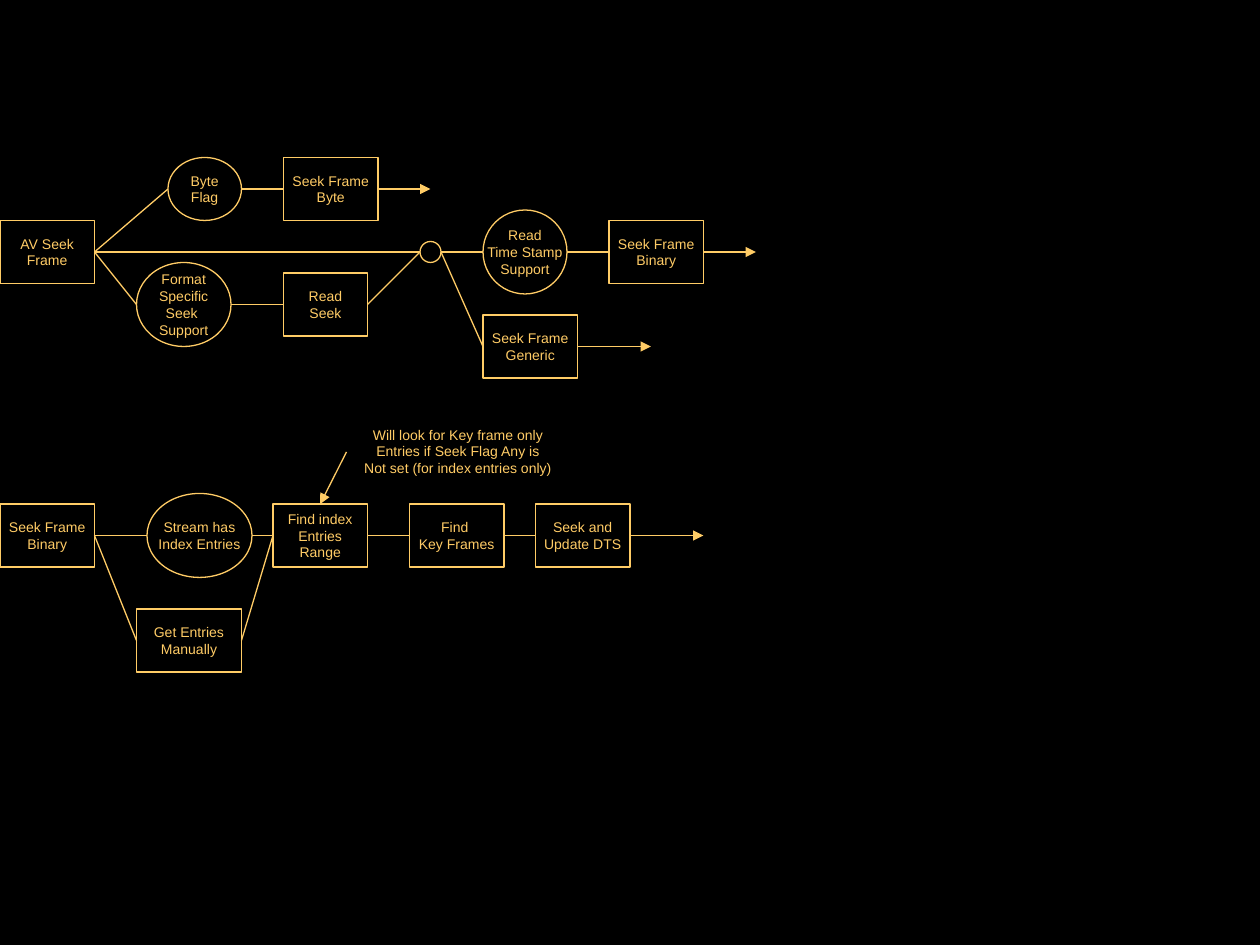
from lxml import etree
from pptx import Presentation
from pptx.dml.color import RGBColor
from pptx.enum.shapes import MSO_CONNECTOR, MSO_SHAPE
from pptx.enum.text import MSO_ANCHOR, MSO_AUTO_SIZE, PP_ALIGN
from pptx.oxml.ns import qn
from pptx.util import Pt

RECT, OVAL = MSO_SHAPE.RECTANGLE, MSO_SHAPE.OVAL
STRAIGHT = MSO_CONNECTOR.STRAIGHT
CENTER = PP_ALIGN.CENTER
TOP, MIDDLE = MSO_ANCHOR.TOP, MSO_ANCHOR.MIDDLE
FIT_SHAPE = MSO_AUTO_SIZE.SHAPE_TO_FIT_TEXT
BLACK = RGBColor(0x00, 0x00, 0x00)
AMBER = RGBColor(0xFF, 0xCC, 0x66)
LINE_WIDTH = Pt(0.75)


def write_text(frame, text, size=8, font="Arial", color=AMBER, anchor=MIDDLE, wrap=False):
    """Write one centred paragraph for each line of text."""
    frame.word_wrap = wrap
    frame.vertical_anchor = anchor
    for number, line in enumerate(text.split("\n")):
        para = frame.add_paragraph() if number else frame.paragraphs[0]
        para.alignment = CENTER
        span = para.add_run()
        span.text = line
        span.font.size = Pt(size)
        span.font.name = font
        span.font.color.rgb = color


def draw_line(start, end, arrow=False):
    """Draw a straight line between two (x, y) points."""
    connector = slide.shapes.add_connector(STRAIGHT, *start, *end)
    connector.line.color.rgb = AMBER
    connector.line.width = LINE_WIDTH
    properties = connector._element.spPr
    if arrow:
        etree.SubElement(properties.find(qn("a:ln")), qn("a:tailEnd"), type="triangle")
    etree.SubElement(properties, qn("a:effectLst"))


# Deck and black page
deck = Presentation()
deck.slide_width, deck.slide_height = Pt(720), Pt(540)
slide = deck.slides.add_slide(deck.slide_layouts[6])
slide.background.fill.solid()
slide.background.fill.fore_color.rgb = BLACK

# Steps: key, shape, left, top, width, height, text
steps = [
    # Choosing a seek method
    ("seek", RECT, 0, 126, 54, 36, "AV Seek\nFrame"),
    ("byte flag", OVAL, 96, 90, 42, 36, "Byte\nFlag"),
    ("byte", RECT, 162, 90, 54, 36, "Seek Frame\nByte"),
    ("format", OVAL, 78, 150, 54, 48, "Format\nSpecific\nSeek \nSupport"),
    ("read", RECT, 162, 156, 48, 36, "Read\nSeek"),
    ("junction", OVAL, 240, 138, 12, 12, ""),
    ("time stamp", OVAL, 276, 120, 48, 48, "Read\nTime Stamp\nSupport"),
    ("binary", RECT, 348, 126, 54, 36, "Seek Frame\nBinary"),
    ("generic", RECT, 276, 180, 54, 36, "Seek Frame\nGeneric"),
    # Binary seek in detail
    ("binary seek", RECT, 0, 288, 54, 36, "Seek Frame\nBinary"),
    ("index", OVAL, 84, 282, 60, 48, "Stream has\nIndex Entries"),
    ("manual", RECT, 78, 348, 60, 36, "Get Entries\nManually"),
    ("range", RECT, 156, 288, 54, 36, "Find index\nEntries\nRange"),
    ("key frames", RECT, 234, 288, 54, 36, "Find \nKey Frames"),
    ("update", RECT, 306, 288, 54, 36, "Seek and\nUpdate DTS"),
]
entry, leave = {}, {}
for key, kind, left, top, width, height, text in steps:
    box = slide.shapes.add_shape(kind, Pt(left), Pt(top), Pt(width), Pt(height))
    box.shadow.inherit = False
    box.fill.background()
    box.line.color.rgb = AMBER
    box.line.width = LINE_WIDTH
    if text:
        write_text(box.text_frame, text)
    middle = Pt(top + height / 2)
    entry[key] = (Pt(left), middle)
    leave[key] = (Pt(left + width), middle)

# Links run from the right side of one step to the left side of the next
links = [
    ("seek", "byte flag"), ("seek", "format"), ("seek", "junction"),
    ("byte flag", "byte"), ("format", "read"), ("read", "junction"),
    ("junction", "time stamp"), ("junction", "generic"), ("time stamp", "binary"),
    ("binary seek", "index"), ("binary seek", "manual"), ("index", "range"),
    ("manual", "range"), ("range", "key frames"), ("key frames", "update"),
]
for source, target in links:
    draw_line(leave[source], entry[target])

# Arrows out of the last steps
for key, length in [("byte", 30), ("binary", 30), ("generic", 42), ("update", 42)]:
    x, y = leave[key]
    draw_line((x, y), (x + Pt(length), y), arrow=True)

# Note on the index entries range
note = slide.shapes.add_textbox(Pt(198), Pt(240), Pt(127.5), Pt(36))
write_text(note.text_frame, "Will look for Key frame only\nEntries if Seek Flag Any is\n"
           "Not set (for index entries only)", anchor=TOP, wrap=True)
note.text_frame.auto_size = FIT_SHAPE
draw_line((Pt(198), Pt(258.25)), (Pt(183), Pt(288)), arrow=True)

deck.save("out.pptx")
